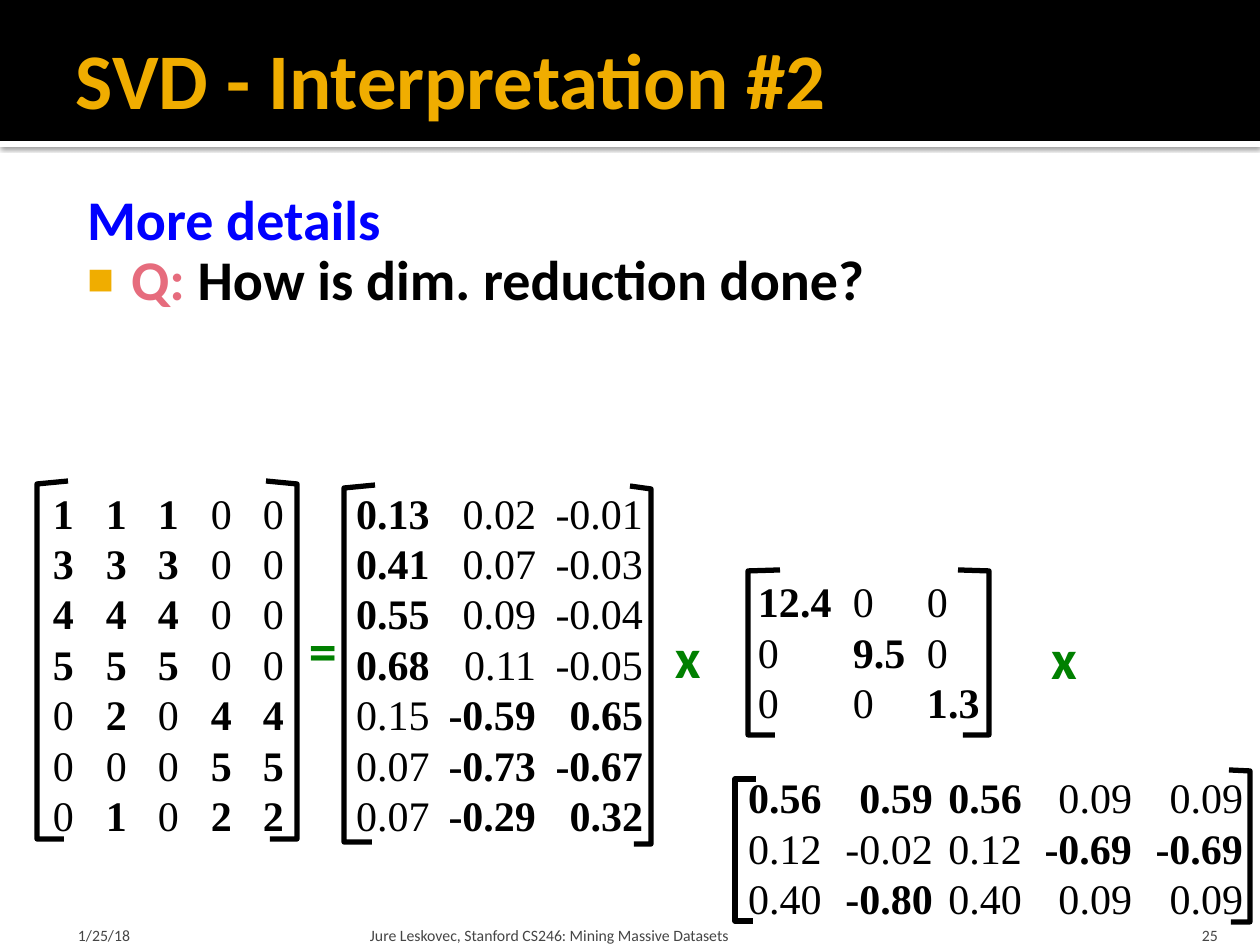
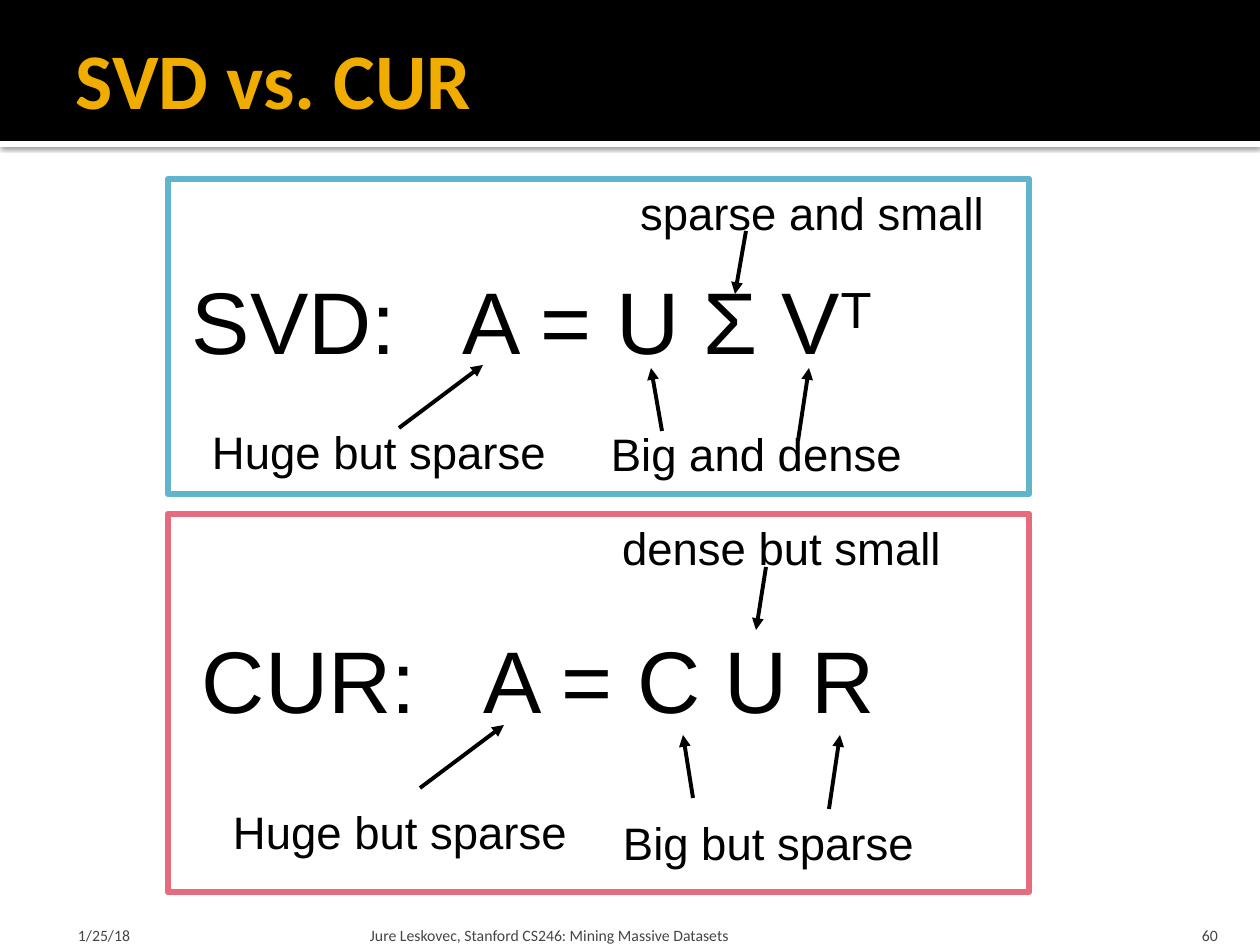
"""Build two lecture slides on SVD: dimension reduction, and SVD against CUR."""
from lxml import etree
from pptx import Presentation
from pptx import util as u
from pptx.dml.color import RGBColor
from pptx.enum import shapes, text
from pptx.oxml import ns, parse_xml

PX = u.Inches(10) / 1260
HUES = {"black": "000000", "white": "FFFFFF", "gold": "F0AD00", "blue": "0000FF",
        "rose": "E66C7D", "sky": "60B5CC", "green": "008000", "gray": "454545"}
RGB = {name: RGBColor.from_string(code) for name, code in HUES.items()}
HEAD = {"name": "Calibri", "size": u.Pt(45), "bold": True}
LIST = {"name": "Calibri", "size": u.Pt(32), "bold": True}
FOOT = {"name": "Calibri", "size": u.Pt(9), "bold": False}
CELL = {"name": "Times New Roman", "size": u.Pt(24), "bold": False}
MATH = {"name": "Arial", "size": u.Pt(50), "bold": False}
NOTE = {"name": "Arial", "size": u.Pt(26), "bold": False}
DRAW = 'xmlns:a="http://schemas.openxmlformats.org/drawingml/2006/main"'
MID, LOW = text.MSO_ANCHOR.MIDDLE, text.MSO_ANCHOR.BOTTOM
SIDES = ("left", "top", "width", "height")
EDGES = ("margin_left", "margin_top", "margin_right", "margin_bottom")


def frame(shape, at, pads=(13, 6, 13, 6), **form):
    """Place a shape, set up its text frame and return the frame."""
    for side, val in zip(SIDES, at):
        setattr(shape, side, round(val * PX))
    body = shape.text_frame
    form = {"word_wrap": True, "auto_size": text.MSO_AUTO_SIZE.NONE} | form
    form |= {edge: round(pad * PX) for edge, pad in zip(EDGES, pads)}
    for key, val in form.items():
        setattr(body, key, val)
    return body


def write(par, words, look, hue="black", stops=(), algn="l"):
    """Add a run to a paragraph, with tab stops if given, and return the run."""
    run = par.add_run()
    run.text = words
    for key, val in look.items():
        setattr(run.font, key, val)
    run.font.color.rgb = RGB[hue]
    if stops:
        tabs = etree.SubElement(par._p.get_or_add_pPr(), ns.qn("a:tabLst"))
        for stop in stops:
            etree.SubElement(tabs, ns.qn("a:tab"), pos=str(round(stop * PX)), algn=algn)
    return run


deck = Presentation()
deck.slide_width, deck.slide_height = u.Inches(10), u.Inches(7.5)
first = deck.slides.add_slide(deck.slide_layouts[1])
second = deck.slides.add_slide(deck.slide_layouts[5])

for num, (hue, top, high) in enumerate([("white", 141, 6), ("black", 0, 141)]):
    band = first.shapes.add_shape(shapes.MSO_SHAPE.RECTANGLE, 0, round(top * PX),
                                  deck.slide_width, round(high * PX))
    band.shadow.inherit = False
    band.fill.solid()
    band.fill.fore_color.rgb = RGB[hue]
    band.line.fill.background()
    if hue == "white":
        glow = band.element.spPr.find(ns.qn("a:effectLst"))
        glow.append(parse_xml(
            f'<a:outerShdw {DRAW} blurRad="31750" dist="10160" dir="5400000">'
            f'<a:srgbClr val="{HUES["black"]}"><a:alpha val="60000"/></a:srgbClr></a:outerShdw>'))
    band.element.nvSpPr.cNvPr.set("id", str(90 + num))
    deck.slide_master.shapes.element.insert(2 + num, band.element)

for slide, title, page in [(first, "SVD - Interpretation #2", "25"),
                           (second, "SVD vs. CUR", "60")]:
    par = frame(slide.shapes.title, (63, 10, 1134, 136), (13, 6, 6, 6),
                vertical_anchor=MID).paragraphs[0]
    par.alignment = text.PP_ALIGN.LEFT
    write(par, title, HEAD, "gold")
    for words, left, wide, pads, side in [
            ("1/25/18", 63, 294, (15, 6, 6, 0), "LEFT"),
            ("Jure Leskovec, Stanford CS246: Mining Massive Datasets", 364, 759, (6, 6, 6, 0), "LEFT"),
            (page, 1130, 101, (13, 6, 13, 0), "RIGHT")]:
        foot = slide.shapes.add_textbox(0, 0, 0, 0)
        par = frame(foot, (left, 907, wide, 38), pads, vertical_anchor=LOW).paragraphs[0]
        par.alignment = text.PP_ALIGN[side]
        write(par, words, FOOT, "gray")

body = frame(first.placeholders[1], (63, 179, 1134, 725), (8, 13, 13, 6))
lead, ask = body.paragraphs[0], body.add_paragraph()
for par, marks in [(lead, "<a:buNone/>"),
                   (ask, f'<a:buClr><a:srgbClr val="{HUES["gold"]}"/></a:buClr>'
                         '<a:buSzPct val="80000"/><a:buChar char="■"/>')]:
    par.line_spacing, par.space_before = 0.9, u.Pt(0)
    prop = par._p.get_or_add_pPr()
    prop.set("marL", str(round(60 * PX)))
    prop.set("indent", str(round(-44 * PX)))
    prop.extend(parse_xml(f"<a:pPr {DRAW}>{marks}</a:pPr>"))
write(lead, "More details", LIST, "blue")
write(ask, "Q:", LIST, "rose")
write(ask, " How is dim. reduction done?", LIST)

for tip, top, edge, bend, base, end in [
        (68, 481, 37, 484, 839, 64), (266, 481, 297, 484, 839, 270),
        (375, 485, 344, 488, 842, 372), (630, 486, 651, 489, 844, 634),
        (780, 570, 748, 571, 735, 775), (958, 570, 989, 571, 735, 963),
        (756, 779, 735, 779, 921, 753), (1229, 770, 1250, 771, 922, 1231)]:
    path = first.shapes.build_freeform(tip, top, scale=PX)
    path.add_line_segments([(edge, bend), (edge, base), (end, base)], close=False)
    hook = path.convert_to_shape()
    hook.shadow.inherit = False
    hook.fill.background()
    hook.line.color.rgb, hook.line.width = RGB["black"], u.Pt(3)

for sign, left, top in [("=", 296, 609), ("x", 662, 616), ("x", 1038, 617)]:
    mark = first.shapes.add_textbox(0, 0, 0, 0)
    par = frame(mark, (left, top, 55, 81), word_wrap=False, vertical_anchor=MID).paragraphs[0]
    write(par, sign, LIST, "green")

# A trailing star marks a bold cell.
for at, pad, algn, stops, rows in [
        ((32, 481, 273, 369), 21, "l", (53, 105, 158, 210),
         ["1* 1* 1* 0 0", "3* 3* 3* 0 0", "4* 4* 4* 0 0", "5* 5* 5* 0 0",
          "0 2* 0 4* 4*", "0 0 0 5* 5*", "0 1* 0 2* 2*"]),
        ((326, 481, 347, 369), 30, "r", (180, 287),
         ["0.13* 0.02 -0.01", "0.41* 0.07 -0.03", "0.55* 0.09 -0.04", "0.68* 0.11 -0.05",
          "0.15 -0.59* 0.65*", "0.07 -0.73* -0.67*", "0.07 -0.29* 0.32*"]),
        ((746, 570, 273, 165), 12, "l", (95, 169),
         ["12.4* 0 0", "0 9.5* 0", "0 0 1.3*"]),
        ((735, 766, 525, 165), 13, "r", (185, 274, 384, 495),
         ["0.56* 0.59* 0.56* 0.09 0.09", "0.12 -0.02 0.12 -0.69* -0.69*",
          "0.40 -0.80* 0.40 0.09 0.09"])]:
    grid = frame(first.shapes.add_textbox(0, 0, 0, 0), at, (pad, 6, 6, 6))
    for line, row in enumerate(rows):
        par = grid.add_paragraph() if line else grid.paragraphs[0]
        par.line_spacing = u.Pt(28.8)
        for col, cell in enumerate(row.split()):
            write(par, "\t" * (col > 0) + cell.rstrip("*"), CELL | {"bold": cell.endswith("*")},
                  stops=() if col else stops, algn=algn)

for hue, top, high in [("rose", 514, 378), ("sky", 179, 315)]:
    panel = second.shapes.add_shape(shapes.MSO_SHAPE.RECTANGLE, round(168 * PX),
                                    round(top * PX), round(861 * PX), round(high * PX))
    panel.shadow.inherit = False
    panel.fill.solid()
    panel.fill.fore_color.rgb = RGB["white"]
    panel.line.color.rgb, panel.line.width = RGB[hue], u.Pt(3.78)

for left, top, words, stop, power in [(179, 261, "SVD:\tA = U Σ V", 271, "T"),
                                      (189, 620, "CUR:\tA = C U R", 282, "")]:
    par = frame(second.shapes.add_textbox(0, 0, 0, 0), (left, top, 829, 117)).paragraphs[0]
    write(par, words, MATH, stops=[stop])
    if power:
        write(par, power, MATH)._r.get_or_add_rPr().set("baseline", "30000")

for words, left, top, wide in [
        ("Huge but sparse", 199, 418, 363), ("Big and dense", 598, 420, 318),
        ("sparse and small", 627, 179, 369), ("Huge but sparse", 220, 798, 363),
        ("Big but sparse", 610, 809, 316), ("dense but small", 609, 514, 344)]:
    note = second.shapes.add_textbox(0, 0, 0, 0)
    write(frame(note, (left, top, wide, 67), word_wrap=False).paragraphs[0], words, NOTE)

for ends in [(399, 428, 483, 365), (662, 431, 651, 368), (798, 441, 809, 368),
             (746, 231, 735, 294), (420, 788, 504, 725), (693, 798, 683, 735),
             (829, 809, 840, 735), (766, 567, 756, 630)]:
    arrow = second.shapes.add_connector(shapes.MSO_CONNECTOR.STRAIGHT,
                                        *(round(end * PX) for end in ends))
    arrow.line.color.rgb, arrow.line.width = RGB["black"], u.Pt(2.25)
    etree.SubElement(arrow.line._get_or_add_ln(), ns.qn("a:tailEnd"), type="triangle")
    etree.SubElement(arrow.element.spPr, ns.qn("a:effectLst"))

deck.save("out.pptx")
